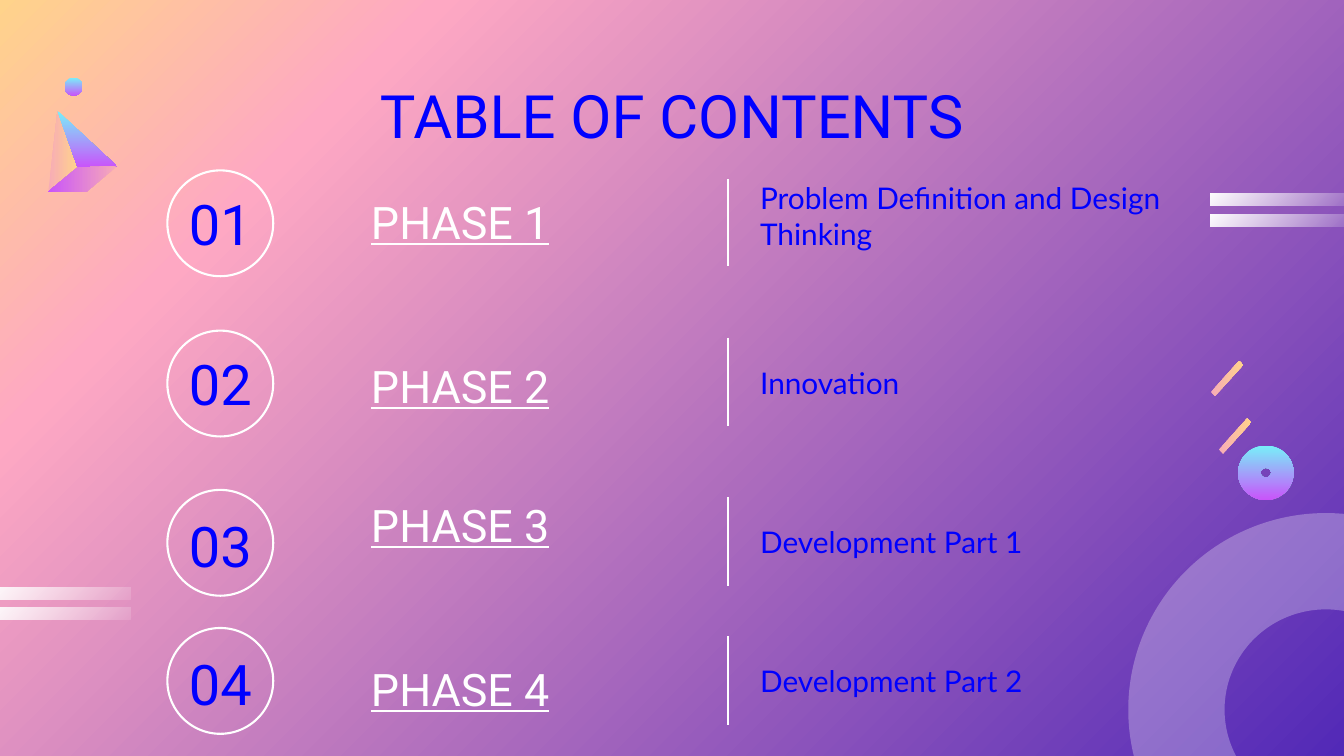
from lxml.etree import SubElement
from pptx import Presentation
from pptx.dml.color import RGBColor
from pptx.enum.shapes import MSO_CONNECTOR, MSO_SHAPE
from pptx.enum.text import MSO_ANCHOR, PP_ALIGN
from pptx.oxml.ns import qn
from pptx.util import Pt

PX = 9144  # 100 px to the inch
WHITE = RGBColor(0xFF, 0xFF, 0xFF)
BLUE = RGBColor(0x00, 0x00, 0xFF)
INDIGO = RGBColor(0x52, 0x29, 0xB7)
PINK = RGBColor(0xFE, 0xA8, 0xC3)
ROSE = RGBColor(0xF7, 0xAB, 0xB7)
YELLOW = RGBColor(0xFF, 0xD3, 0x8B)
CYAN = RGBColor(0x78, 0xF0, 0xF9)
VIOLET = RGBColor(0xC9, 0x54, 0xFA)

prs = Presentation()
prs.slide_width, prs.slide_height = 1333 * PX, 750 * PX
s = prs.slides.add_slide(prs.slide_layouts[6])


def gradient(fill, element, stops, angle):
    """Fill with stops of (percent, colour, opacity percent), angle clockwise."""
    fill.gradient()
    grad = next(element.iter(qn("a:gradFill")))
    for child in list(grad):
        grad.remove(child)
    gs_lst = SubElement(grad, qn("a:gsLst"))
    for pos, color, opacity in stops:
        gs = SubElement(gs_lst, qn("a:gs"), pos=str(pos * 1000))
        clr = SubElement(gs, qn("a:srgbClr"), val=str(color))
        if opacity < 100:
            SubElement(clr, qn("a:alpha"), val=str(opacity * 1000))
    SubElement(grad, qn("a:lin"), ang=str(angle * 60000), scaled="0")


def add_text(text, x, y, w, h, size, font="Roboto", color=BLUE,
             align=PP_ALIGN.LEFT, underline=None):
    tf = s.shapes.add_textbox(x * PX, y * PX, w * PX, h * PX).text_frame
    tf.word_wrap = True
    tf.vertical_anchor = MSO_ANCHOR.MIDDLE
    tf.margin_left = tf.margin_right = tf.margin_top = tf.margin_bottom = 13 * PX
    p = tf.paragraphs[0]
    p.alignment = align
    r = p.add_run()
    r.text = text
    r.font.size = Pt(size)
    r.font.name = font
    r.font.color.rgb = color
    r.font.underline = underline


gradient(s.background.fill, s._element,
         [(0, INDIGO, 100), (79, PINK, 100), (100, YELLOW, 100)], 225)

# Large translucent ring in the corner
ring = s.shapes.add_shape(MSO_SHAPE.DONUT, 1119 * PX, 509 * PX, 392 * PX, 390 * PX)
ring.adjustments[0] = 0.245
ring.shadow.inherit = False
ring.fill.solid()
ring.fill.fore_color.rgb = WHITE
ring_color = next(ring._element.spPr.iter(qn("a:srgbClr")))
SubElement(ring_color, qn("a:alpha"), val="28000")
ring.line.fill.background()

add_text("TABLE OF CONTENTS", 105, 78, 1123, 71, 42.7, align=PP_ALIGN.CENTER)

# Contents: description, then tops of circle, number, phase, description, and divider ends
rows = [
    ("Problem Definition and Design Thinking", 169, 183, 167, 178, 178, 264),
    ("Innovation", 328, 342, 330, 344, 335, 423),
    ("Development Part 1", 486, 502, 468, 502, 493, 581),
    ("Development Part 2", 623, 639, 631, 640, 631, 719),
]
for i, (topic, circle_y, number_y, phase_y, topic_y, top, bottom) in enumerate(rows, 1):
    circle = s.shapes.add_shape(MSO_SHAPE.OVAL, 166 * PX, circle_y * PX, 105 * PX, 105 * PX)
    circle.shadow.inherit = False
    circle.fill.background()
    circle.line.color.rgb = WHITE
    circle.line.width = Pt(1.5)
    add_text(f"{i:02}", 159, number_y, 119, 77, 40, align=PP_ALIGN.CENTER)
    add_text(f"PHASE {i}", 355, phase_y, 366, 105, 32, color=WHITE, underline=True)
    add_text(topic, 741, topic_y, 471, 71, 21.3, font="Lato")
    divider = s.shapes.add_connector(MSO_CONNECTOR.STRAIGHT, 722 * PX, top * PX,
                                     722 * PX, bottom * PX)
    divider.line.color.rgb = WHITE
    divider.line.width = Pt(1.5)
    SubElement(divider._element.spPr, qn("a:effectLst"))

# Pyramid faces and slanted dashes: points, colours, angle
polygons = [
    ([(48, 190), (77, 166), (57, 110)], ROSE, YELLOW, 0),
    ([(57, 110), (77, 166), (116, 165)], CYAN, VIOLET, 90),
    ([(116, 165), (77, 166), (48, 190), (86, 190)], ROSE, VIOLET, 180),
]
for x, y in [(1201, 358), (1209, 415)]:
    dash = [(x, y + 31), (x + 28, y), (x + 32, y + 4), (x + 4, y + 35)]
    polygons.append((dash, ROSE, YELLOW, 0))
decorations = []
for points, start, end, angle in polygons:
    builder = s.shapes.build_freeform(*points[0], scale=PX)
    builder.add_line_segments(points[1:], close=True)
    decorations.append((builder.convert_to_shape(), (start, end), 100, angle))

# Dot, small ring and fading bars: shape, box, colours, end opacity, angle
presets = [
    (MSO_SHAPE.OVAL, (64, 77, 18, 18), (CYAN, VIOLET), 100, 90),
    (MSO_SHAPE.DONUT, (1228, 442, 55, 54), (CYAN, VIOLET), 100, 90),
]
for x, y in [(-12, 583), (-12, 603), (1201, 192), (1201, 213)]:
    presets.append((MSO_SHAPE.RECTANGLE, (x, y, 141, 12), (WHITE, WHITE), 11, 45))
for kind, box, colors, opacity, angle in presets:
    sp = s.shapes.add_shape(kind, *(v * PX for v in box))
    if kind == MSO_SHAPE.DONUT:
        sp.adjustments[0] = 0.41
    decorations.append((sp, colors, opacity, angle))

for sp, (start, end), opacity, angle in decorations:
    sp.shadow.inherit = False
    sp.line.fill.background()
    gradient(sp.fill, sp._element.spPr, [(0, start, 100), (100, end, opacity)], angle)

prs.save("out.pptx")
